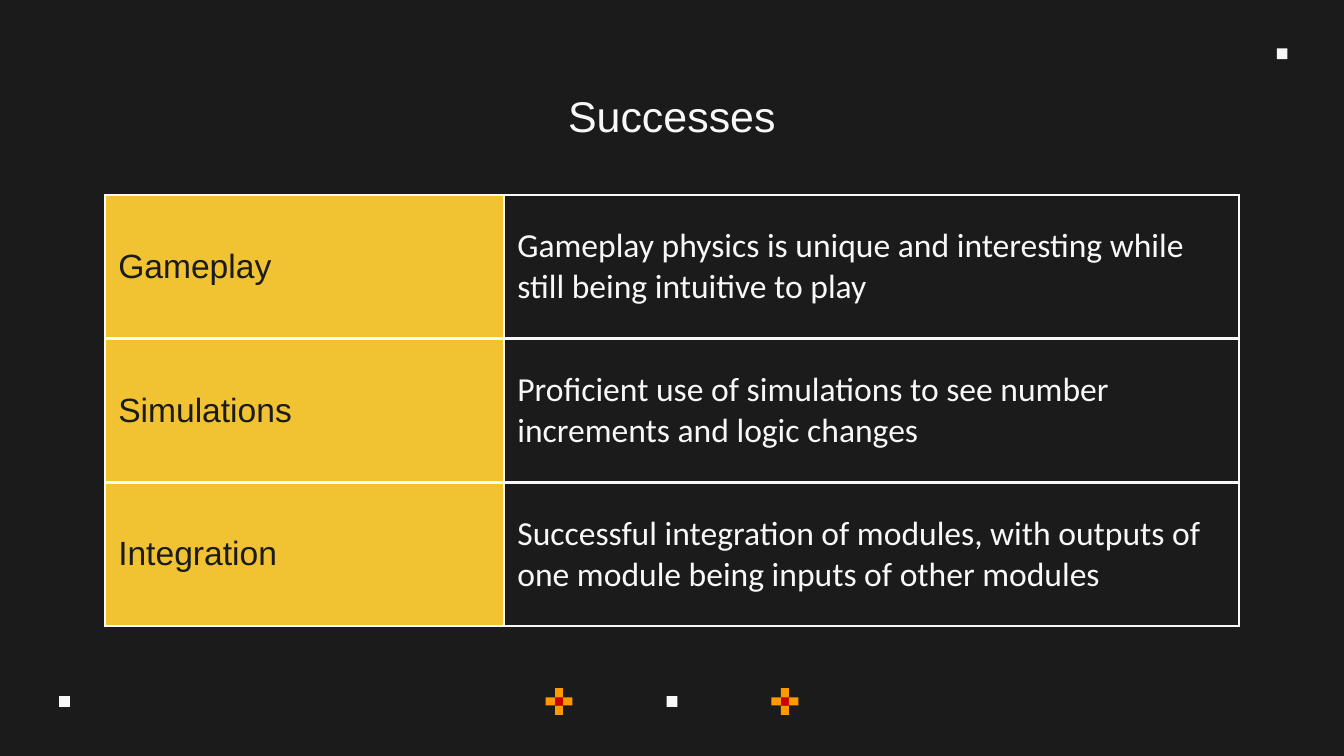
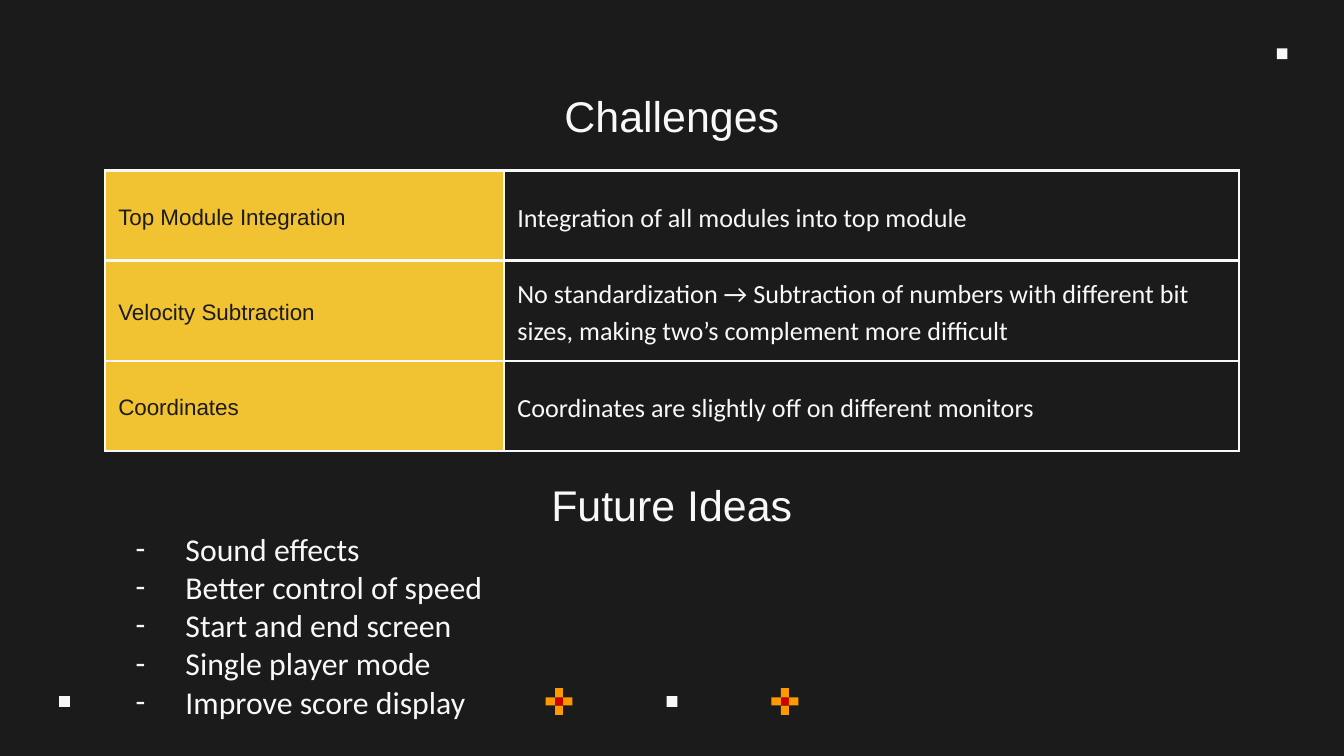
"""Build the Successes and Challenges slides of a game project review."""
from dataclasses import dataclass
from typing import NamedTuple, Optional

from lxml import etree
from pptx import Presentation
from pptx import util as u
from pptx.dml.color import RGBColor
from pptx.enum import shapes, text
from pptx.oxml import ns


@dataclass(frozen=True)
class Theme:
    dark: str = "1B1B1B"
    light: str = "F8F8F8"
    label: str = "F1C232"
    petal: str = "FF9900"
    core: str = "CC0000"
    head_font: str = "Arial"
    body_font: str = "Calibri"
    title_size: int = 23
    list_size: int = 17
    border: float = 1.5
    inset: float = 0.1


class Frame(NamedTuple):
    left: float
    top: float
    width: float
    height: float

    def lengths(self) -> list:
        return [u.Inches(value) for value in self]


class Row(NamedTuple):
    label: str
    detail: str


@dataclass(frozen=True)
class Grid:
    top: float
    row_height: float
    label_size: int
    detail_size: int
    rows: tuple[Row, ...]
    spacing: float = 1.0


@dataclass(frozen=True)
class Topic:
    title: str
    grid: Grid
    list_title: str = ""
    ideas: tuple[str, ...] = ()


THEME = Theme()
TITLE = Frame(0.78, 0.57, 8.44, 0.51)
IDEAS = Frame(0.78, 3.46, 8.44, 2.02)
COLUMNS = (2.97, 5.47)
DOT, CORE, ARM = 0.08, 0.06, 0.07
DOTS = ((4.96, 5.18), (9.5, 0.36), (0.44, 5.18))
FLOWERS = ((4.13, 5.19), (5.81, 5.19))
PETALS = (Frame(0, -ARM, CORE, ARM), Frame(-ARM, 0, ARM, CORE),
          Frame(CORE, 0, ARM, CORE), Frame(0, CORE, CORE, ARM))

TOPICS = (
    Topic("Successes", Grid(1.45, 1.07, 18, 18, (
        Row("Gameplay", "Gameplay physics is unique and interesting while still being intuitive to play"),
        Row("Simulations", "Proficient use of simulations to see number increments and logic changes"),
        Row("Integration", "Successful integration of modules, with outputs of one module "
            "being inputs of other modules"),
    ))),
    Topic("Challenges", Grid(1.27, 0.67, 12, 14, (
        Row("Top Module Integration", "Integration of all modules into top module"),
        Row("Velocity Subtraction", "No standardization → Subtraction of numbers with different "
            "bit sizes, making two’s complement more difficult"),
        Row("Coordinates", "Coordinates are slightly off on different monitors"),
    ), 1.15), "Future Ideas", (
        "Sound effects", "Better control of speed", "Start and end screen",
        "Single player mode", "Improve score display",
    )),
)


def write(para, words: str, *, font: str, size: int, color: str = THEME.light,
          align=text.PP_ALIGN.LEFT, spacing: float = 1.0, after: float = 0) -> None:
    para.alignment = align
    para.line_spacing = spacing
    para.space_before = u.Pt(0)
    para.space_after = u.Pt(after)
    span = para.add_run()
    span.text = words
    span.font.name = font
    span.font.size = u.Pt(size)
    span.font.bold = False
    span.font.color.rgb = RGBColor.from_string(color)


def write_title(para, words: str) -> None:
    write(para, words, font=THEME.head_font, size=THEME.title_size, align=text.PP_ALIGN.CENTER)


def set_bullet(para, mark: Optional[str], margin: float = 0, indent: float = 0) -> None:
    props = para._p.get_or_add_pPr()
    props.set("marL", str(u.Inches(margin)))
    props.set("indent", str(u.Inches(indent)))
    if mark is None:
        etree.SubElement(props, ns.qn("a:buNone"))
        return
    color = etree.SubElement(props, ns.qn("a:buClr"))
    etree.SubElement(color, ns.qn("a:srgbClr"), val=THEME.light)
    etree.SubElement(props, ns.qn("a:buFont"), typeface=THEME.body_font)
    etree.SubElement(props, ns.qn("a:buChar"), char=mark)


def prepare(box, frame: Frame):
    box.left, box.top, box.width, box.height = frame.lengths()
    body = box.text_frame
    body.word_wrap = True
    body.auto_size = text.MSO_AUTO_SIZE.NONE
    body.vertical_anchor = text.MSO_ANCHOR.TOP
    body.margin_left = body.margin_right = u.Inches(THEME.inset)
    body.margin_top = body.margin_bottom = u.Inches(THEME.inset)
    return body


def add_block(page, frame: Frame, color: str) -> None:
    block = page.shapes.add_shape(shapes.MSO_SHAPE.RECTANGLE, *frame.lengths())
    block.shadow.inherit = False
    block.fill.solid()
    block.fill.fore_color.rgb = RGBColor.from_string(color)
    block.line.fill.background()


def add_decoration(page) -> None:
    for left, top in DOTS:
        add_block(page, Frame(left, top, DOT, DOT), THEME.light)
    for left, top in FLOWERS:
        add_block(page, Frame(left, top, CORE, CORE), THEME.core)
        for petal in PETALS:
            add_block(page, Frame(left + petal.left, top + petal.top,
                                  petal.width, petal.height), THEME.petal)
    for holder in list(page.placeholders):
        page.shapes.element.append(holder.element)


def add_borders(cell) -> None:
    props = cell._tc.get_or_add_tcPr()
    for place, side in enumerate(("lnL", "lnR", "lnT", "lnB")):
        line = etree.Element(ns.qn(f"a:{side}"), w=str(u.Pt(THEME.border)))
        fill = etree.SubElement(line, ns.qn("a:solidFill"))
        etree.SubElement(fill, ns.qn("a:srgbClr"), val=THEME.light)
        props.insert(place, line)


def fill_cell(cell, words: str, *, fill: Optional[str] = None, **style) -> None:
    cell.vertical_anchor = text.MSO_ANCHOR.MIDDLE
    cell.margin_left = cell.margin_right = u.Inches(THEME.inset)
    cell.margin_top = cell.margin_bottom = u.Inches(THEME.inset)
    if fill:
        cell.fill.solid()
        cell.fill.fore_color.rgb = RGBColor.from_string(fill)
    else:
        cell.fill.background()
    add_borders(cell)
    write(cell.text_frame.paragraphs[0], words, **style)


def add_grid(page, grid: Grid) -> None:
    frame = Frame(TITLE.left, grid.top, sum(COLUMNS), grid.row_height * len(grid.rows))
    table = page.shapes.add_table(len(grid.rows), len(COLUMNS), *frame.lengths()).table
    table.first_row = table.horz_banding = False
    for column, width in zip(table.columns, COLUMNS):
        column.width = u.Inches(width)
    for index, row in enumerate(grid.rows):
        table.rows[index].height = u.Inches(grid.row_height)
        fill_cell(table.cell(index, 0), row.label, fill=THEME.label, font=THEME.head_font,
                  size=grid.label_size, color=THEME.dark, spacing=grid.spacing)
        fill_cell(table.cell(index, 1), row.detail, font=THEME.body_font,
                  size=grid.detail_size, spacing=grid.spacing, after=16)


def add_ideas(page, topic: Topic) -> None:
    body = prepare(page.placeholders[1], IDEAS)
    heading = body.paragraphs[0]
    set_bullet(heading, None)
    write_title(heading, topic.list_title)
    for idea in topic.ideas:
        para = body.add_paragraph()
        set_bullet(para, "-", 0.5, -0.37)
        write(para, idea, font=THEME.body_font, size=THEME.list_size)


def add_topic(deck, topic: Topic) -> None:
    layout = "Title and Content" if topic.ideas else "Title Only"
    page = deck.slides.add_slide(deck.slide_layouts.get_by_name(layout))
    add_decoration(page)
    write_title(prepare(page.shapes.title, TITLE).paragraphs[0], topic.title)
    add_grid(page, topic.grid)
    if topic.ideas:
        add_ideas(page, topic)


def main() -> None:
    deck = Presentation()
    deck.slide_width = u.Inches(10)
    deck.slide_height = deck.slide_width * 9 // 16
    backdrop = deck.slide_master.background.fill
    backdrop.solid()
    backdrop.fore_color.rgb = RGBColor.from_string(THEME.dark)
    for topic in TOPICS:
        add_topic(deck, topic)
    deck.save("out.pptx")


if __name__ == "__main__":
    main()
